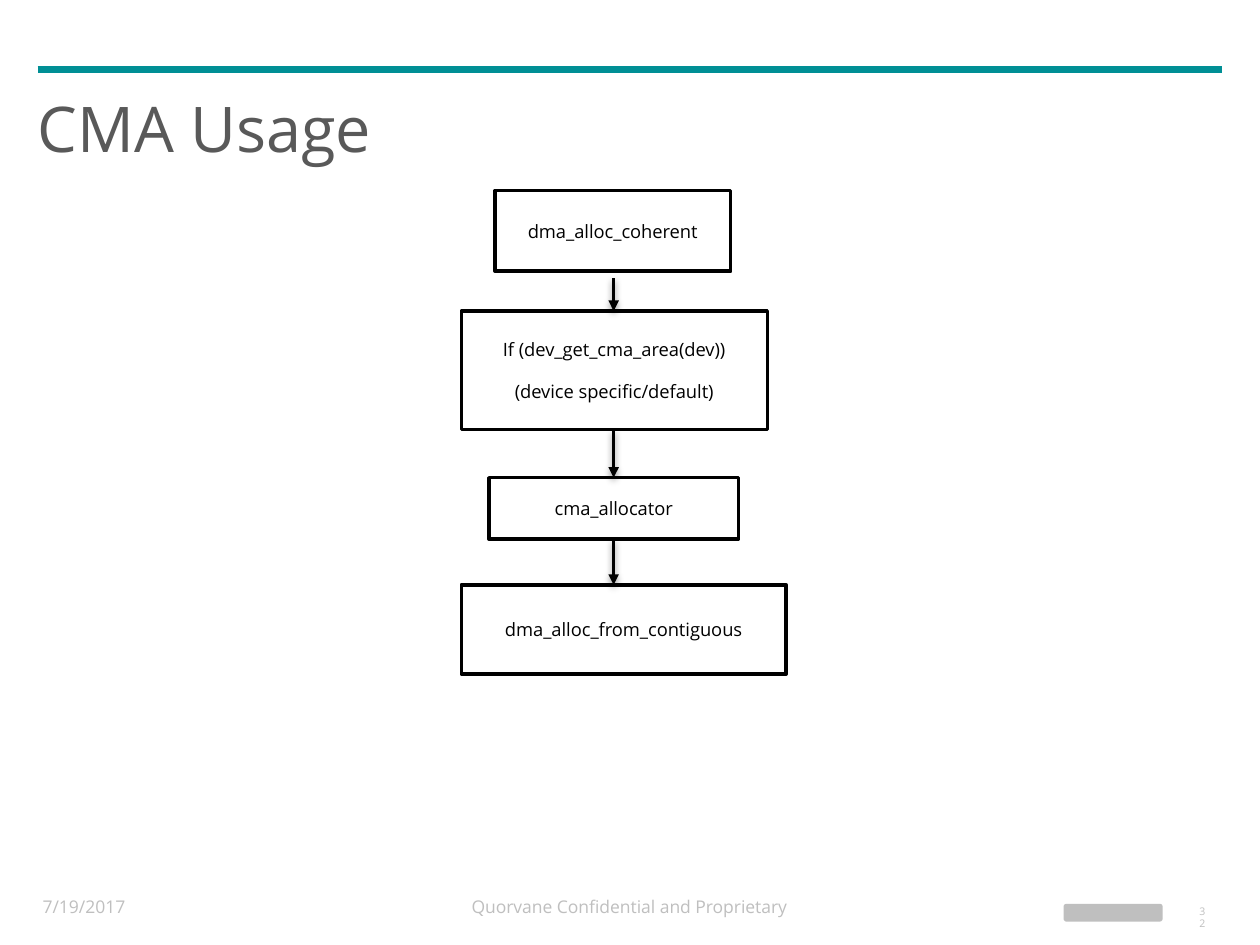
from lxml import etree
from pptx import Presentation
from pptx import util as u
from pptx.dml import color
from pptx.enum import shapes, text
from pptx.oxml import ns

FONT = "Open Sans"
BLACK, WHITE, GREY, DARK, TEAL = "000000", "FFFFFF", "BFBFBF", "595959", "008F95"


def rgb(code):
    """Turn a hex string into a colour."""
    return color.RGBColor.from_string(code)


def write(shape, lines, size, tone, align, **form):
    """Fill a shape with one paragraph for each line of text."""
    frame = shape.text_frame
    frame.word_wrap = True
    frame.vertical_anchor = form.pop("anchor", text.MSO_ANCHOR.TOP)
    for side, gap in form.pop("inset", {}).items():
        setattr(frame, "margin_" + side, u.Cm(gap))
    for i, line in enumerate(lines):
        para = frame.paragraphs[0] if i == 0 else frame.add_paragraph()
        para.alignment = align
        for name, value in form.items():
            if i or name != "space_before":
                setattr(para, name, value)
        run = para.add_run()
        run.text = line
        for name, value in {"name": FONT, "size": u.Pt(size)}.items():
            setattr(run.font, name, value)
        run.font.color.rgb = rgb(tone)


deck = Presentation()
deck.slide_width, deck.slide_height = u.Cm(25.4), u.Cm(19.05)
slide = deck.slides.add_slide(deck.slide_layouts[6])
items = slide.shapes
left, mid = text.PP_ALIGN.LEFT, text.PP_ALIGN.CENTER
center = text.MSO_ANCHOR.MIDDLE
tight = {"left": 0.18, "right": 0.18, "top": 0.1, "bottom": 0.1}

# Title and footer texts
foot = {"line_spacing": 0.9, "space_after": u.Pt(3)}
labels = [
    ((0.58, 2.06, 23.83, 1.35), "CMA Usage", 36, DARK, left,
     {"anchor": center, "inset": tight, "line_spacing": 0.75}),
    ((0.61, 17.98, 5.41, 0.64), "7/19/2017", 10, GREY, left, foot),
    ((8.94, 17.98, 7.49, 0.64), "Quorvane Confidential and Proprietary",
     10, GREY, mid, foot),
    ((24, 18.14, 0.55, 0.46), "32", 6, GREY, left, {"inset": tight}),
]
for place, words, size, tone, align, form in labels:
    label = items.add_textbox(*map(u.Cm, place))
    write(label, [words], size, tone, align, **form)

# Plain mark in the footer
mark = items.add_shape(shapes.MSO_SHAPE.ROUNDED_RECTANGLE,
                       *map(u.Cm, (21.44, 18.22, 2, 0.36)))
mark.shadow.inherit = False
mark.fill.solid()
mark.fill.fore_color.rgb = rgb(GREY)
mark.line.fill.background()

# Boxes of the call chain
steps = [
    ((9.98, 3.84, 4.75, 1.63), ["dma_alloc_coherent"]),
    ((9.3, 6.27, 6.17, 2.39),
     ["If (dev_get_cma_area(dev))", "(device specific/default)"]),
    ((9.86, 9.63, 5.03, 1.24), ["cma_allocator"]),
    ((9.3, 11.79, 6.55, 1.8), ["dma_alloc_from_contiguous"]),
]
for place, lines in steps:
    box = items.add_shape(shapes.MSO_SHAPE.RECTANGLE, *map(u.Cm, place))
    box.shadow.inherit = False
    box.fill.solid()
    box.fill.fore_color.rgb = rgb(WHITE)
    box.line.color.rgb = rgb(BLACK)
    box.line.width = u.Pt(2)
    write(box, lines, 10.5, BLACK, mid, anchor=center, space_before=u.Pt(11))

# Top rule, then an arrow from each box down to the next
axis = 12.37
rules = [((0.76, 1.4, 24.64, 1.4), TEAL, 4, False)]
for i, (above, below) in enumerate(zip(steps, steps[1:])):
    start = above[0][1] + above[0][3] + (0.14 if i == 0 else 0)
    rules.append(((axis, start, axis, below[0][1]), BLACK, 2, True))
for ends, tone, width, arrow in rules:
    rule = items.add_connector(shapes.MSO_CONNECTOR.STRAIGHT, *map(u.Cm, ends))
    rule.line.color.rgb = rgb(tone)
    rule.line.width = u.Pt(width)
    props = rule.element.spPr
    if arrow:
        etree.SubElement(rule.line._get_or_add_ln(), ns.qn("a:tailEnd"),
                         type="triangle")
    effect = etree.SubElement(props, ns.qn("a:effectLst"))
    if arrow:
        cast = etree.SubElement(effect, ns.qn("a:outerShdw"),
                                blurRad=str(u.Pt(4)), dist=str(u.Pt(2)),
                                dir="5400000", rotWithShape="0")
        shade = etree.SubElement(cast, ns.qn("a:srgbClr"), val=BLACK)
        etree.SubElement(shade, ns.qn("a:alpha"), val="40000")

deck.save("out.pptx")
